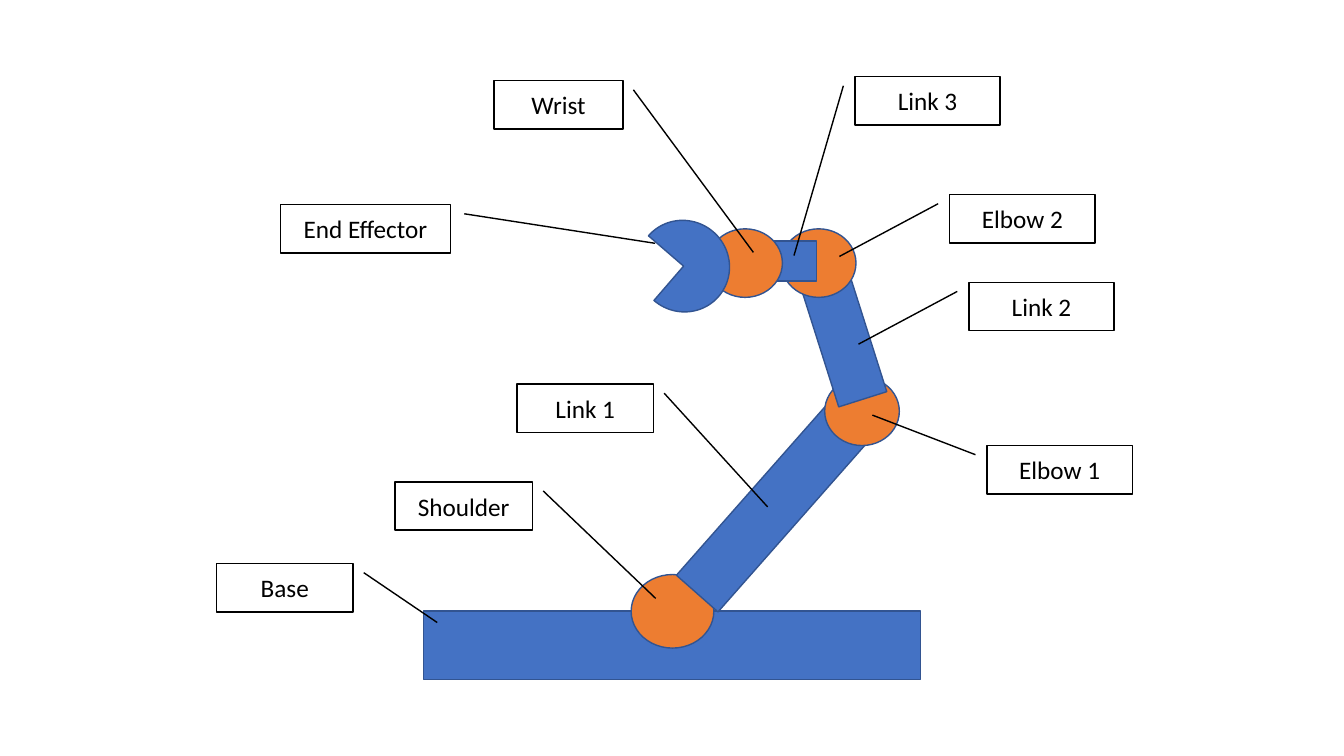
"""Build a slide showing a labelled robot arm."""
from pptx import Presentation
from pptx import util as u
from pptx.dml.color import RGBColor
from pptx.enum import shapes, text

COLORS = {"link": "4472C4", "joint": "ED7D31", "edge": "325491",
          "label": "FFFFFF", "ink": "000000"}
SHAPE = shapes.MSO_SHAPE


def add_part(parent, kind, box, fill, line):
    sp = parent.add_shape(kind, *[u.Inches(v) for v in box])
    sp.shadow.inherit = False
    sp.fill.solid()
    sp.fill.fore_color.rgb = RGBColor.from_string(COLORS[fill])
    sp.line.color.rgb = RGBColor.from_string(COLORS[line])
    sp.line.width = u.Pt(1)
    return sp


prs = Presentation()
prs.slide_width, prs.slide_height = u.Inches(13.33), u.Inches(7.5)
s = prs.slides.add_slide(prs.slide_layouts[6])

arm = s.shapes.add_group_shape()
base = (SHAPE.RECTANGLE, (4.2, 6.06, 4.93, 0.68), 0, "link")
shoulder = (SHAPE.OVAL, (6.26, 5.7, 0.82, 0.73), 0, "joint")
link_1 = (SHAPE.RECTANGLE, (7.41, 3.85, 0.55, 2.33), 41.4, "link")
elbow_1 = (SHAPE.OVAL, (8.18, 3.74, 0.74, 0.68), 0, "joint")
link_2 = (SHAPE.RECTANGLE, (8.12, 2.75, 0.5, 1.24), 342.4, "link")
elbow_2 = (SHAPE.OVAL, (7.75, 2.27, 0.74, 0.68), 0, "joint")
link_3 = (SHAPE.RECTANGLE, (7.63, 2.39, 0.47, 0.4), 0, "link")
wrist = (SHAPE.OVAL, (7.02, 2.27, 0.74, 0.68), 0, "joint")
end_effector = (SHAPE.PIE, (6.32, 2.19, 0.92, 0.9), 220.8, "link")
for kind, box, angle, fill in (base, shoulder, link_1, elbow_1, link_2,
                               elbow_2, link_3, wrist, end_effector):
    sp = add_part(arm.shapes, kind, box, fill, "edge")
    sp.rotation = angle

labels = [
    ("Base", 2.15, 5.59, 1.35, True, 1.22, -0.62),
    ("Shoulder", 3.92, 4.78, 1.36, True, 2.41, -0.9),
    ("Link 1", 5.13, 3.81, 1.35, True, 2.54, -0.84),
    ("Elbow 1", 9.79, 4.42, 1.44, False, -0.63, -0.79),
    ("Elbow 2", 9.42, 1.93, 1.44, False, 1.28, -0.76),
    ("Link 2", 9.61, 2.8, 1.44, False, 1.28, -0.76),
    ("Link 3", 8.48, 0.76, 1.44, False, 3.7, -0.42),
    ("Wrist", 4.9, 0.8, 1.28, True, 3.55, -1.01),
    ("End Effector", 2.78, 2.03, 1.69, True, 0.8, -1.2),
]
for name, left, top, width, flipped, tip_y, tip_x in labels:
    sp = add_part(s.shapes, SHAPE.LINE_CALLOUT_1, (left, top, width, 0.48),
                  "label", "ink")
    for i, value in enumerate((0.19, -0.08, tip_y, tip_x)):
        sp.adjustments[i] = value
    if flipped:
        sp._element.spPr.xfrm.set("flipH", "1")
    tf = sp.text_frame
    tf.vertical_anchor = text.MSO_ANCHOR.MIDDLE
    p = tf.paragraphs[0]
    p.text = name
    p.alignment = text.PP_ALIGN.CENTER
    p.font.name, p.font.size = "Calibri", u.Pt(18)
    p.font.color.rgb = RGBColor.from_string(COLORS["ink"])

prs.save("out.pptx")
